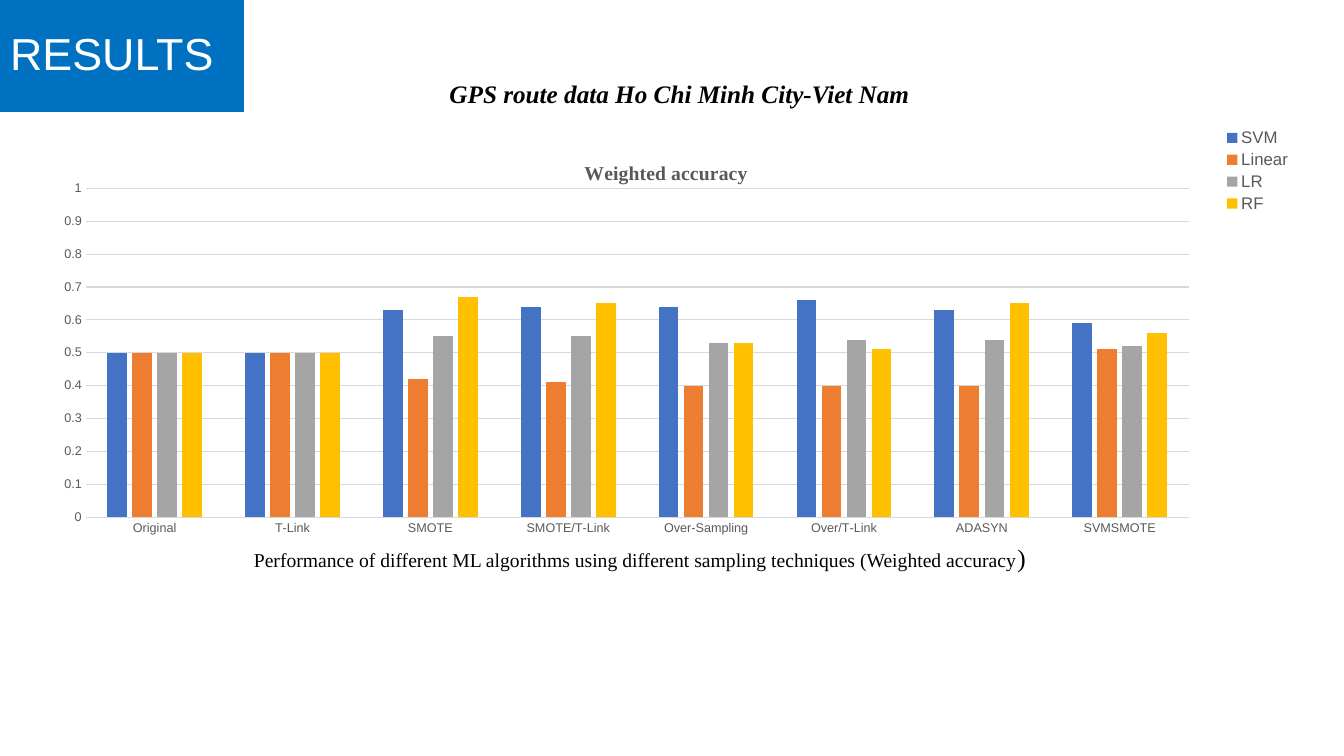
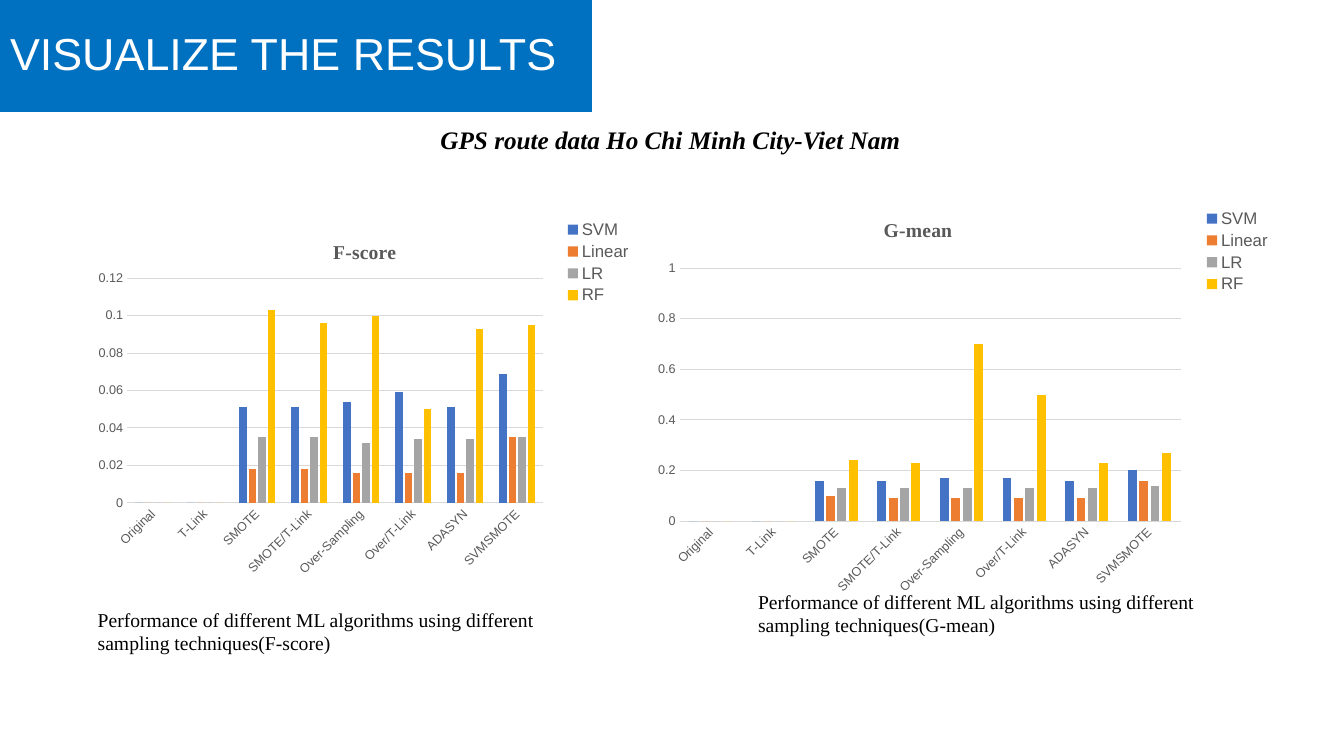
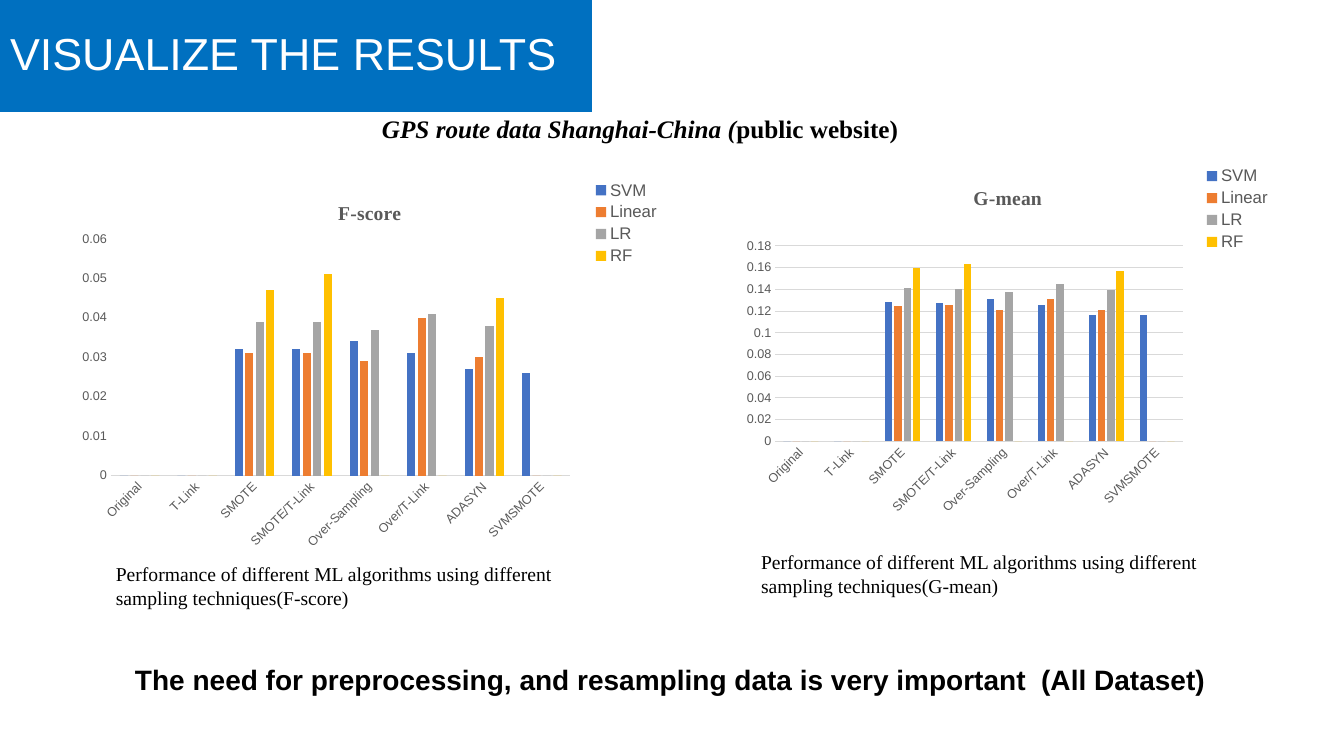
from lxml import etree
from pptx import Presentation
from pptx.chart.data import CategoryChartData
from pptx.dml.color import RGBColor
from pptx.enum import chart as ch, text
from pptx.oxml.ns import qn
from pptx.util import Inches, Pt

COLORS = {"band": "0070C0", "white": "FFFFFF", "black": "000000",
          "label": "595959", "grid": "D9D9D9"}
SERIES = {"SVM": "4472C4", "Linear": "ED7D31", "LR": "A5A5A5", "RF": "FFC000"}
SANS, SERIF = "Arial", "Times New Roman"
SAMPLINGS = ["Original", "T-Link", "SMOTE", "SMOTE/T-Link", "Over-Sampling",
             "Over/T-Link", "ADASYN", "SVMSMOTE"]
CAPTION = "Performance of different ML algorithms using different sampling techniques"
CITY = "GPS route data Ho Chi Minh City-Viet Nam"

ACCURACY = [[0.5, 0.5, 0.63, 0.64, 0.64, 0.66, 0.63, 0.59],
            [0.5, 0.5, 0.42, 0.41, 0.4, 0.4, 0.4, 0.51],
            [0.5, 0.5, 0.55, 0.55, 0.53, 0.54, 0.54, 0.52],
            [0.5, 0.5, 0.67, 0.65, 0.53, 0.51, 0.65, 0.56]]
CITY_F = [[0, 0, 0.051, 0.051, 0.054, 0.059, 0.051, 0.069],
          [0, 0, 0.018, 0.018, 0.016, 0.016, 0.016, 0.035],
          [0, 0, 0.035, 0.035, 0.032, 0.034, 0.034, 0.035],
          [0, 0, 0.103, 0.096, 0.1, 0.05, 0.093, 0.095]]
CITY_G = [[0, 0, 0.16, 0.16, 0.17, 0.17, 0.16, 0.2],
          [0, 0, 0.1, 0.09, 0.09, 0.09, 0.09, 0.16],
          [0, 0, 0.13, 0.13, 0.13, 0.13, 0.13, 0.14],
          [0, 0, 0.24, 0.23, 0.7, 0.5, 0.23, 0.27]]
SHANGHAI_F = [[0, 0, 0.032, 0.032, 0.034, 0.031, 0.027, 0.026],
              [0, 0, 0.031, 0.031, 0.029, 0.04, 0.03, 0],
              [0, 0, 0.039, 0.039, 0.037, 0.041, 0.038, 0],
              [0, 0, 0.047, 0.051, 0, 0, 0.045, 0]]
SHANGHAI_G = [[0, 0, 0.128, 0.127, 0.131, 0.126, 0.116, 0.116],
              [0, 0, 0.125, 0.126, 0.121, 0.131, 0.121, 0],
              [0, 0, 0.141, 0.14, 0.138, 0.145, 0.139, 0],
              [0, 0, 0.16, 0.163, 0, 0, 0.157, 0]]


def rgb(name):
    return RGBColor.from_string(COLORS.get(name, name))


def style(font, size, color="black", name=SERIF, bold=False, italic=False):
    font.size, font.name = Pt(size), name
    font.bold, font.italic = bold, italic
    font.color.rgb = rgb(color)


def add_titled_slide(prs, title, width):
    slide = prs.slides.add_slide(prs.slide_layouts[5])
    sp = slide.shapes.title
    sp.left, sp.top, sp.width, sp.height = 0, 0, Inches(width), Inches(1.11)
    sp.fill.solid()
    sp.fill.fore_color.rgb = rgb("band")
    tf = sp.text_frame
    tf.text = title
    tf.word_wrap = True
    tf.auto_size = text.MSO_AUTO_SIZE.NONE
    tf.vertical_anchor = text.MSO_ANCHOR.MIDDLE
    p = tf.paragraphs[0]
    p.alignment, p.line_spacing = text.PP_ALIGN.LEFT, 0.9
    style(p.font, 32, "white", SANS)
    return slide


def add_text(slide, box, *runs, **font):
    """Add a one-paragraph text box and return its paragraph."""
    tf = slide.shapes.add_textbox(*map(Inches, box)).text_frame
    tf.word_wrap = True
    p = tf.paragraphs[0]
    for words in runs:
        p.add_run().text = words
    style(p.font, **font)
    return p


def add_subtitle(slide, box, *runs):
    return add_text(slide, box, *runs, size=18, bold=True, italic=True)


def set_layout(parent, index, **values):
    """Give a chart part a manual layout, in fractions of the chart."""
    layout = parent.find(qn("c:layout"))
    if layout is None:
        layout = etree.Element(qn("c:layout"))
        parent.insert(index, layout)
    manual = etree.SubElement(layout, qn("c:manualLayout"))
    if "w" in values:
        etree.SubElement(manual, qn("c:layoutTarget")).set("val", "inner")
    for key in "xy":
        etree.SubElement(manual, qn(f"c:{key}Mode")).set("val", "edge")
    for key, value in values.items():
        etree.SubElement(manual, qn(f"c:{key}")).set("val", f"{value:.4f}")


def format_axes(chart, top, step, grid, angle):
    cat, val = chart.category_axis, chart.value_axis
    for axis in (cat, val):
        axis.major_tick_mark = axis.minor_tick_mark = ch.XL_TICK_MARK.NONE
        style(axis.tick_labels.font, 9, "label", SANS)
    cat.format.line.color.rgb = rgb("grid")
    cat.format.line.width = Pt(0.75)
    body = cat._element.find(qn("c:txPr")).find(qn("a:bodyPr"))
    body.set("rot", str(angle * 60000))
    val.format.line.fill.background()
    val.minimum_scale, val.maximum_scale, val.major_unit = 0, top, step
    val.has_major_gridlines = grid
    if grid:
        line = val.major_gridlines.format.line
        line.color.rgb, line.width = rgb("grid"), Pt(0.75)


def add_bars(slide, box, title, values, title_at, plot, top, step,
             grid=True, angle=-45):
    """Add a column chart; title_at and plot are inches inside the box."""
    data = CategoryChartData()
    data.categories = SAMPLINGS
    for name, row in zip(SERIES, values):
        data.add_series(name, row)
    chart = slide.shapes.add_chart(ch.XL_CHART_TYPE.COLUMN_CLUSTERED,
                                   *map(Inches, box), data).chart
    style(chart.font, 10, name=SANS)
    w, h = box[2:]

    chart.has_title = True
    tf = chart.chart_title.text_frame
    tf.text = title
    style(tf.paragraphs[0].font, 14, "label", bold=True)
    set_layout(chart.chart_title._element, 1, x=title_at[0] / w, y=title_at[1] / h)

    bars = chart.plots[0]
    set_layout(chart._chartSpace.chart.plotArea, 0, x=plot[0] / w,
               y=plot[1] / h, w=plot[2] / w, h=plot[3] / h)
    bars.gap_width, bars.overlap, bars.vary_by_categories = 219, -27, False
    for series, color in zip(bars.series, SERIES.values()):
        series.format.fill.solid()
        series.format.fill.fore_color.rgb = rgb(color)

    chart.has_legend = True
    chart.legend.position = ch.XL_LEGEND_POSITION.CORNER
    chart.legend.include_in_layout = False
    style(chart.legend.font, 12, "label", SANS)
    format_axes(chart, top, step, grid, angle)


def accuracy_slide(prs):
    slide = add_titled_slide(prs, "RESULTS", 2.42)
    add_subtitle(slide, (4.36, 0.73, 5.06, 0.4), CITY)
    add_bars(slide, (0.39, 1.24, 12.44, 4.16), "Weighted accuracy", ACCURACY,
             (5.37, 0.32), (0.46, 0.63, 10.94, 3.26), 1, 0.1, angle=0)
    p = add_text(slide, (2.42, 5.33, 9.74, 0.4),
                 CAPTION + " (Weighted accuracy", ")", size=14)
    p.alignment = text.PP_ALIGN.JUSTIFY
    p.runs[1].font.size = Pt(18)


def comparison_slide(prs, charts, captions):
    """Show an F-score chart and a G-mean chart, each with its caption."""
    slide = add_titled_slide(prs, "VISUALIZE THE RESULTS", 5.87)
    for name, chart, box in zip(("F-score", "G-mean"), charts, captions):
        add_bars(slide, title=name, **chart)
        add_text(slide, box, f"{CAPTION}({name})", size=14)
    return slide


def city_slide(prs):
    f_score = dict(box=(0.87, 2.15, 5.42, 3.65), values=CITY_F, top=0.12, step=0.02,
                   title_at=(2.4, 0.19), plot=(0.39, 0.61, 4.13, 2.23))
    g_mean = dict(box=(6.4, 2.04, 6.23, 3.94), values=CITY_G, top=1, step=0.2,
                  title_at=(2.33, 0.08), plot=(0.34, 0.62, 4.97, 2.51))
    slide = comparison_slide(prs, (f_score, g_mean),
                             ((0.87, 5.98, 4.58, 0.57), (7.42, 5.8, 4.58, 0.57)))
    add_subtitle(slide, (4.27, 1.18, 5.06, 0.4), CITY)


def shanghai_slide(prs):
    f_score = dict(box=(0.7, 1.76, 5.87, 3.77), values=SHANGHAI_F, top=0.06, step=0.01,
                   title_at=(2.62, 0.19), plot=(0.4, 0.61, 4.56, 2.35), grid=False)
    g_mean = dict(box=(7.3, 1.62, 5.33, 3.57), values=SHANGHAI_G, top=0.18, step=0.02,
                  title_at=(2.32, 0.18), plot=(0.39, 0.82, 4.04, 1.94))
    slide = comparison_slide(prs, (f_score, g_mean),
                             ((1.05, 5.53, 5.18, 0.57), (7.45, 5.41, 5.18, 0.57)))
    p = add_subtitle(slide, (3.69, 1.08, 5.6, 0.4),
                     "GPS route data Shanghai-China (", "public website)")
    p.runs[1].font.italic = False
    add_text(slide, (1.24, 6.52, 10.91, 0.44),
             "The need for preprocessing, and resampling data is very important  (All Dataset)",
             size=20, name=SANS, bold=True)


def main():
    prs = Presentation()
    prs.slide_width, prs.slide_height = Inches(13.33), Inches(7.5)
    accuracy_slide(prs)
    city_slide(prs)
    shanghai_slide(prs)
    prs.save("out.pptx")


if __name__ == "__main__":
    main()
